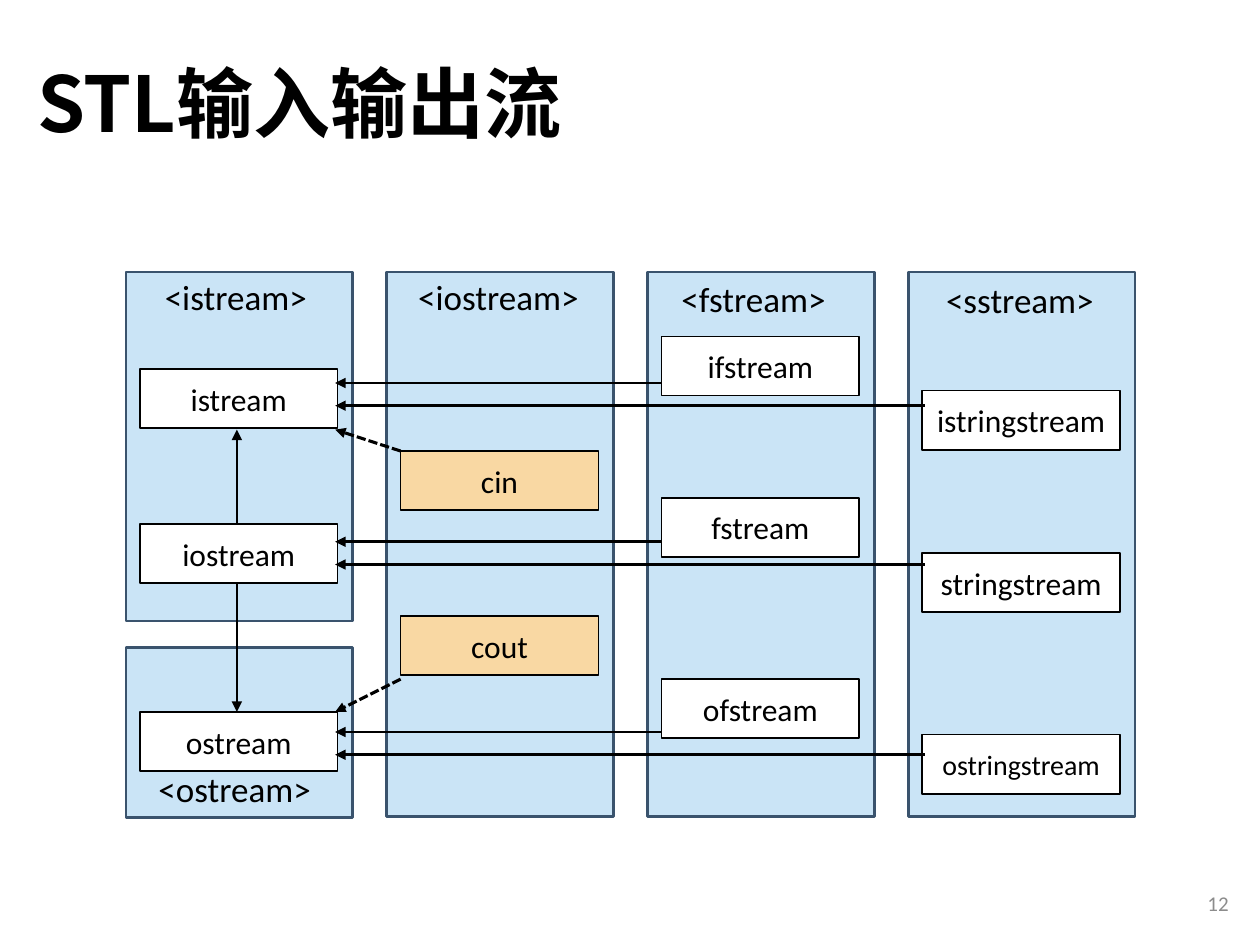
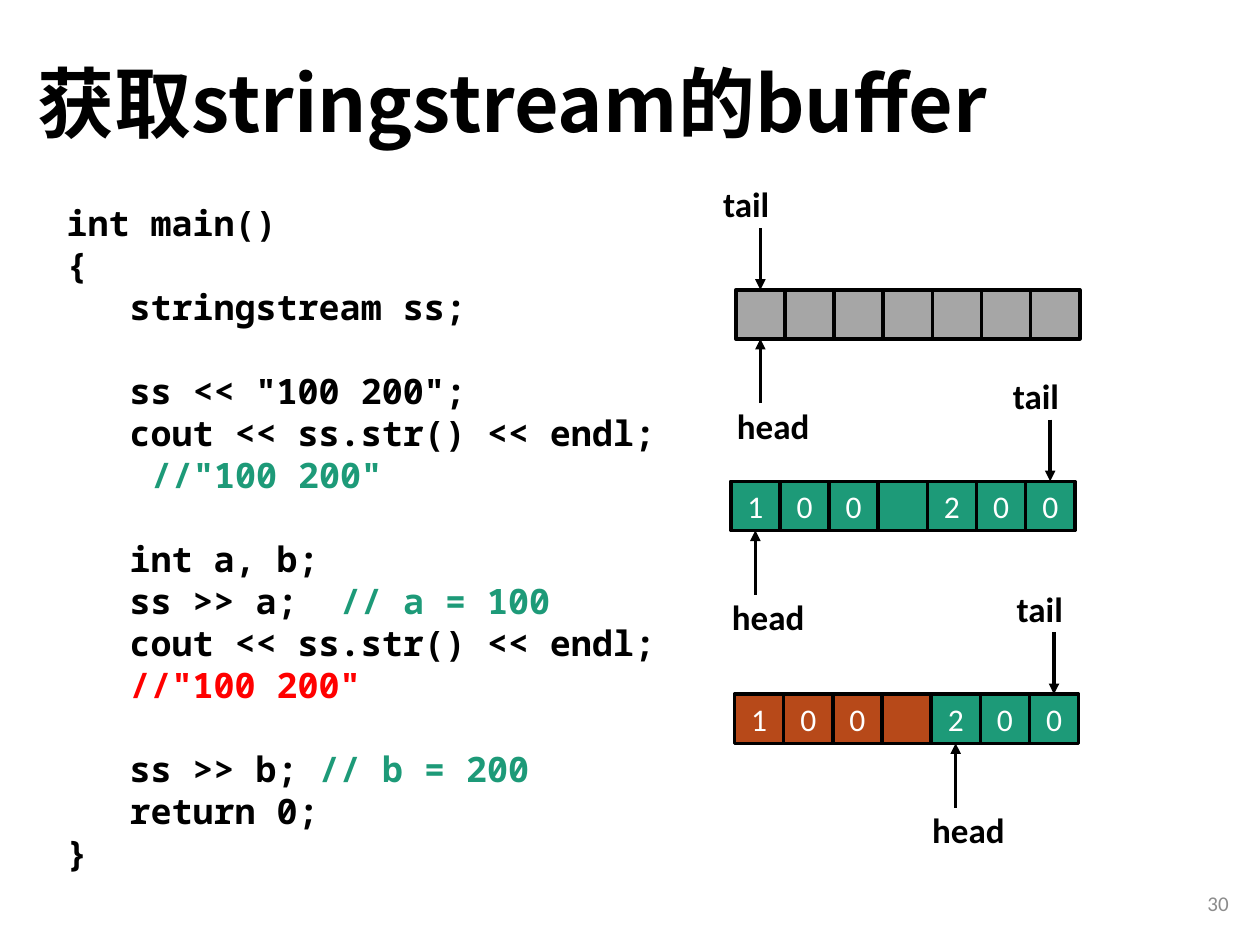
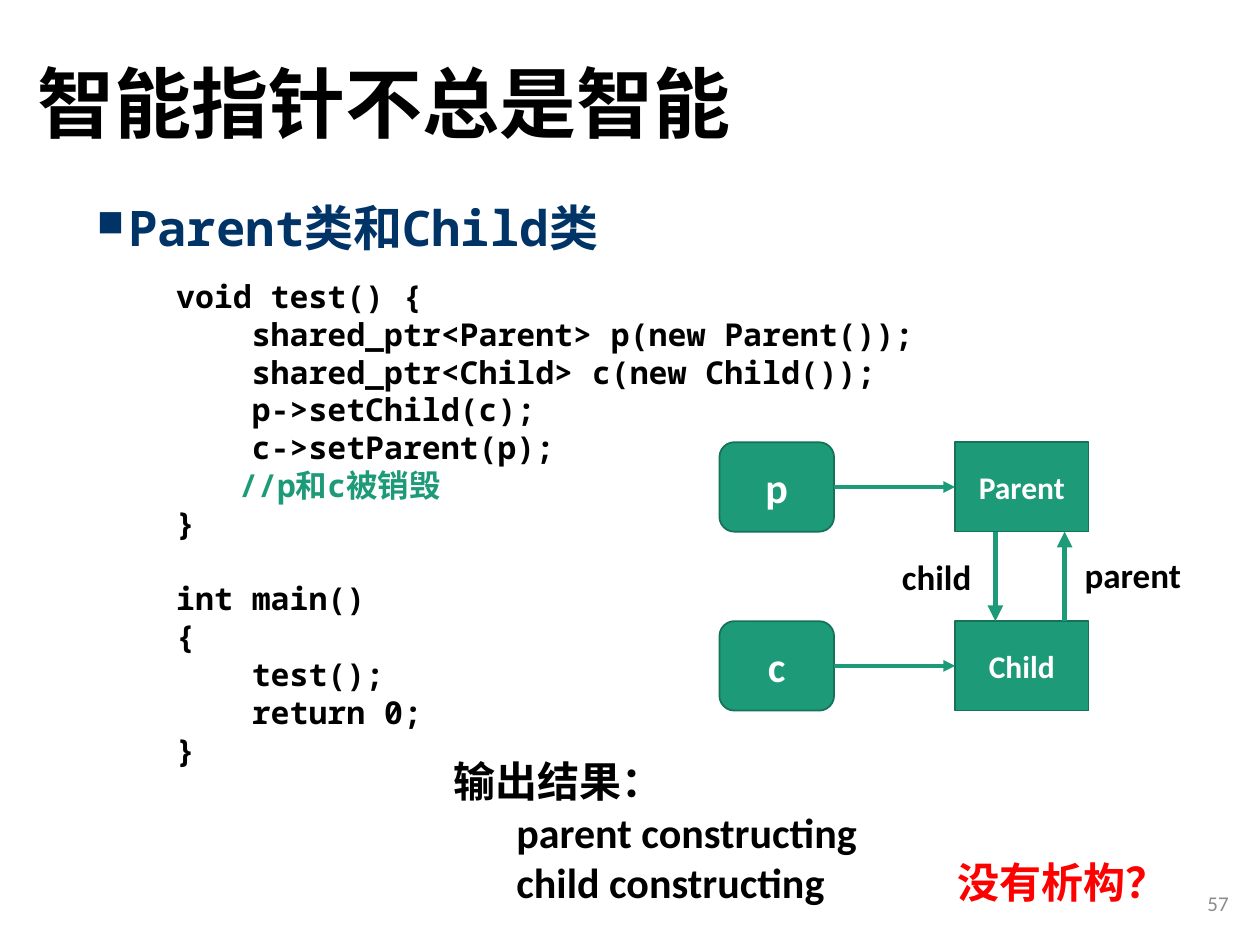
from lxml.etree import SubElement
from pptx import Presentation
from pptx.dml.color import RGBColor
from pptx.enum.dml import MSO_LINE
from pptx.enum.shapes import MSO_CONNECTOR, MSO_SHAPE
from pptx.enum.text import MSO_ANCHOR as ANCHOR, PP_ALIGN as ALIGN
from pptx.oxml.ns import qn
from pptx.util import Inches, Pt

COLORS = {
    "black": "000000", "white": "FFFFFF", "number": "8C8C8C",
    "panel": "CAE4F6", "panel_edge": "3A536D", "object": "F9D8A3",
    "green": "1D9A78", "green_edge": "157259", "red": "FF0000",
    "empty": "A6A6A6", "read": "B74919", "navy": "003366",
}
SANS, MONO, CJK = "Calibri", "Noto Sans Mono", "Noto Sans CJK SC"
CODE_LEADING = 1.2


def rgb(name):
    """Return a palette colour."""
    return RGBColor.from_string(COLORS[name])


def add_span(para, text, size, color="black", bold=False, font=SANS):
    """Add one formatted run to a paragraph."""
    span = para.add_run()
    span.text = text
    span.font.size = Pt(size)
    span.font.bold = bold
    span.font.name = font
    span.font.color.rgb = rgb(color)
    SubElement(span.font._element, qn("a:ea"), typeface=CJK)


def add_frame(page, left, top, width, height, wrap=True, anchor=ANCHOR.TOP):
    """Add an empty text box and return its text frame."""
    box = page.shapes.add_textbox(
        Inches(left), Inches(top), Inches(width), Inches(height))
    frame = box.text_frame
    frame.word_wrap = wrap
    frame.vertical_anchor = anchor
    return frame


def add_label(page, text, left, top, width, bold=False):
    """Add a one-line 20 point label."""
    frame = add_frame(page, left, top, width, 0.44, wrap=False)
    add_span(frame.paragraphs[0], text, 20, bold=bold)


def add_box(page, left, top, width, height, fill, edge="black", weight=1,
            text="", size=18, color="black", bold=False,
            kind=MSO_SHAPE.RECTANGLE):
    """Add a filled, outlined shape with optional centred text."""
    box = page.shapes.add_shape(
        kind, Inches(left), Inches(top), Inches(width), Inches(height))
    box.shadow.inherit = False
    box.fill.solid()
    box.fill.fore_color.rgb = rgb(fill)
    box.line.color.rgb = rgb(edge)
    box.line.width = Pt(weight)
    if text:
        box.text_frame.vertical_anchor = ANCHOR.MIDDLE
        para = box.text_frame.paragraphs[0]
        para.alignment = ALIGN.CENTER
        add_span(para, text, size, color, bold)


def add_arrow(page, start, end, weight, color="black", dashed=False):
    """Add a straight arrow that points at its end."""
    arrow = page.shapes.add_connector(
        MSO_CONNECTOR.STRAIGHT, *(Inches(value) for value in start + end))
    arrow.line.color.rgb = rgb(color)
    arrow.line.width = Pt(weight)
    if dashed:
        arrow.line.dash_style = MSO_LINE.SQUARE_DOT
    properties = arrow._element.spPr
    SubElement(properties.find(qn("a:ln")), qn("a:tailEnd"), type="triangle")
    SubElement(properties, qn("a:effectLst"))


def add_code(page, left, top, width, height, size, lines):
    """Add code; each line is (indent, blank line before, spans)."""
    frame = add_frame(page, left, top, width, height)
    for index, (indent, gap, spans) in enumerate(lines):
        para = frame.paragraphs[0] if index == 0 else frame.add_paragraph()
        para._p.get_or_add_pPr().set("marL", str(Inches(indent)))
        if gap:
            para.space_before = Pt(size * CODE_LEADING)
        for text, color in spans:
            add_span(para, text, size, color, True, MONO)


def code(indent, text, comment="", color="green", gap=False):
    """Describe a code line with an optional coloured comment."""
    spans = [(text, "black"), (comment, color)]
    return indent, gap, [span for span in spans if span[0]]


def add_page(deck, title, number):
    """Add a blank page with the shared title and page number."""
    page = deck.slides.add_slide(deck.slide_layouts[6])
    para = add_frame(page, 0.2, 0.13, 8.62, 1.45,
                     anchor=ANCHOR.MIDDLE).paragraphs[0]
    para.line_spacing = 0.9
    add_span(para, title, 44, bold=True, font=CJK)
    para = add_frame(page, 7.6, 6.97, 2.25, 0.4,
                     anchor=ANCHOR.MIDDLE).paragraphs[0]
    para.alignment = ALIGN.RIGHT
    add_span(para, str(number), 12, "number")
    return page


def build_streams(deck):
    """Show headers, stream classes and their inheritance."""
    page = add_page(deck, "STL输入输出流", 12)
    columns = [1 + 2.07 * index for index in range(4)]
    panels = [(columns[0], 2.16, 2.77), (columns[0], 5.14, 1.35)]
    panels += [(left, 2.16, 4.32) for left in columns[1:]]
    for left, top, height in panels:
        add_box(page, left, top, 1.8, height, "panel", "panel_edge", 1.5)

    classes = [
        ("istream", 0, 2.93), ("iostream", 0, 4.16), ("ostream", 0, 5.65),
        ("cin", 1, 3.58), ("cout", 1, 4.89),
        ("ifstream", 2, 2.67), ("fstream", 2, 3.95), ("ofstream", 2, 5.39),
        ("istringstream", 3, 3.1), ("stringstream", 3, 4.39),
        ("ostringstream", 3, 5.83),
    ]
    for name, column, top in classes:
        add_box(page, columns[column] + 0.11, top, 1.57, 0.47,
                "object" if column == 1 else "white", text=name,
                size=16 if name == "ostringstream" else 18)

    base_edge = 2.66
    for file_y in (3.04, 4.3, 5.81):
        for source, y in ((5.25, file_y), (7.34, file_y + 0.18)):
            add_arrow(page, (source, y), (base_edge, y), 1.5)
    for source_y, target_y in ((3.58, 3.41), (5.39, 5.65)):
        add_arrow(page, (3.18, source_y), (base_edge, target_y), 1.75,
                  dashed=True)
    for source_y, target_y in ((4.16, 3.41), (4.63, 5.65)):
        add_arrow(page, (1.88, source_y), (1.88, target_y), 1.5)

    for text, left, top, width in (
            ("<istream>", 1.21, 2.14, 1.34), ("<ostream>", 1.16, 6.04, 1.43),
            ("<iostream>", 3.22, 2.14, 1.49), ("<fstream>", 5.31, 2.15, 1.36),
            ("<sstream>", 7.41, 2.16, 1.39)):
        add_label(page, text, left, top, width)


def add_buffer(page, left, top, content, fills, head, tail):
    """Draw a buffer with its head and tail pointers at cell indexes."""
    side = 0.39
    for index, (letter, fill) in enumerate(zip(content, fills)):
        add_box(page, left + index * side, top, side, side, fill, weight=2,
                text=letter.strip(), color="white")
    tail_left, head_left = left + tail * side, left + head * side
    tail_x, head_x = tail_left + side / 2, head_left + side / 2
    add_arrow(page, (tail_x, top - 0.49), (tail_x, top), 2)
    add_label(page, "tail", tail_left - 0.2, top - 0.9, 0.57, bold=True)
    add_arrow(page, (head_x, top + 0.9), (head_x, top + side), 2)
    add_label(page, "head", head_left - 0.09, top + 0.86, 0.78, bold=True)


def build_buffer(deck):
    """Show how reading moves the head of a stringstream buffer."""
    page = add_page(deck, "获取stringstream的buffer", 30)
    tab = 0.5
    add_code(page, 0.43, 1.55, 7.09, 5.49, 20, [
        code(0, "int main()"),
        code(0, "{"),
        code(tab, "stringstream ss;"),
        code(tab, 'ss << "100 200";', gap=True),
        code(tab, "cout << ss.str() << endl;"),
        code(tab + 0.17, "", '//"100 200"'),
        code(tab, "int a, b;", gap=True),
        code(tab, "ss >> a;  ", "// a = 100"),
        code(tab, "cout << ss.str() << endl;"),
        code(tab, "", '//"100 200"', "red"),
        code(tab, "ss >> b; ", "// b = 200", gap=True),
        code(tab, "return 0;"),
        code(0, "}"),
    ])
    content = "100 200"
    size = len(content)
    add_buffer(page, 5.84, 2.3, " " * size, ["empty"] * size, 0, 0)
    add_buffer(page, 5.8, 3.82, content, ["green"] * size, 0, 6)
    add_buffer(page, 5.83, 5.51, content, ["read"] * 4 + ["green"] * 3, 4, 6)


def add_heading(page, text):
    """Add a heading with a square bullet."""
    para = add_frame(page, 0.67, 1.57, 8.8, 0.6).paragraphs[0]
    para.line_spacing = 0.9
    para.space_before = Pt(10)
    properties = para._p.get_or_add_pPr()
    properties.set("marL", str(Inches(0.25)))
    properties.set("indent", str(-Inches(0.25)))
    SubElement(properties, qn("a:buSzPct"), val="75000")
    SubElement(properties, qn("a:buChar"), char="■")
    add_span(para, text, 28, "navy", True, MONO)


def add_output(page):
    """List the program output, aligned on two tab stops."""
    frame = add_frame(page, 3.5, 5.95, 5.92, 1.31)
    lines = [
        [("输出结果：", "black")],
        [("\tparent constructing", "black")],
        [("\tchild constructing\t", "black"), ("没有析构？", "red")],
    ]
    for index, spans in enumerate(lines):
        para = frame.paragraphs[0] if index == 0 else frame.add_paragraph()
        stops = SubElement(para._p.get_or_add_pPr(), qn("a:tabLst"))
        for stop in (0.5, 4):
            SubElement(stops, qn("a:tab"), pos=str(Inches(stop)), algn="l")
        for text, color in spans:
            add_span(para, text, 24, color, bold=True)


def build_pointers(deck):
    """Show two shared pointers that own each other."""
    page = add_page(deck, "智能指针不总是智能", 57)
    add_heading(page, "Parent类和Child类")
    tab = 0.6
    add_code(page, 1.3, 2.15, 7.01, 4.04, 18, [
        code(0, "void test() {"),
        code(tab, "shared_ptr<Parent> p(new Parent());"),
        code(tab, "shared_ptr<Child> c(new Child());"),
        code(tab, "p->setChild(c);"),
        code(tab, "c->setParent(p);"),
        code(0.5, "", "//p和c被销毁"),
        code(0, "}"),
        code(0, "int main()", gap=True),
        code(0, "{"),
        code(tab, "test();"),
        code(tab, "return 0;"),
        code(0, "}"),
    ])
    add_output(page)

    parent_top, child_top, height = 3.51, 4.93, 0.71
    style = {"fill": "green", "edge": "green_edge", "color": "white",
             "bold": True}
    for pointer, target, top in (("p", "Parent", parent_top),
                                 ("c", "Child", child_top)):
        add_box(page, 5.71, top, 0.91, height, text=pointer, size=24,
                kind=MSO_SHAPE.ROUNDED_RECTANGLE, **style)
        add_box(page, 7.58, top, 1.06, height, text=target, **style)
        middle = top + height / 2
        add_arrow(page, (6.62, middle), (7.58, middle), 2.25, "green")
    parent_bottom = parent_top + height
    add_arrow(page, (7.9, parent_bottom), (7.9, child_top), 3, "green")
    add_arrow(page, (8.45, child_top), (8.45, parent_bottom), 3, "green")
    add_label(page, "child", 7.06, 4.36, 0.76, bold=True)
    add_label(page, "parent", 8.51, 4.34, 0.97, bold=True)


def main():
    """Build and save the deck."""
    deck = Presentation()
    deck.slide_width, deck.slide_height = Inches(10), Inches(7.5)
    build_streams(deck)
    build_buffer(deck)
    build_pointers(deck)
    deck.save("out.pptx")


main()
